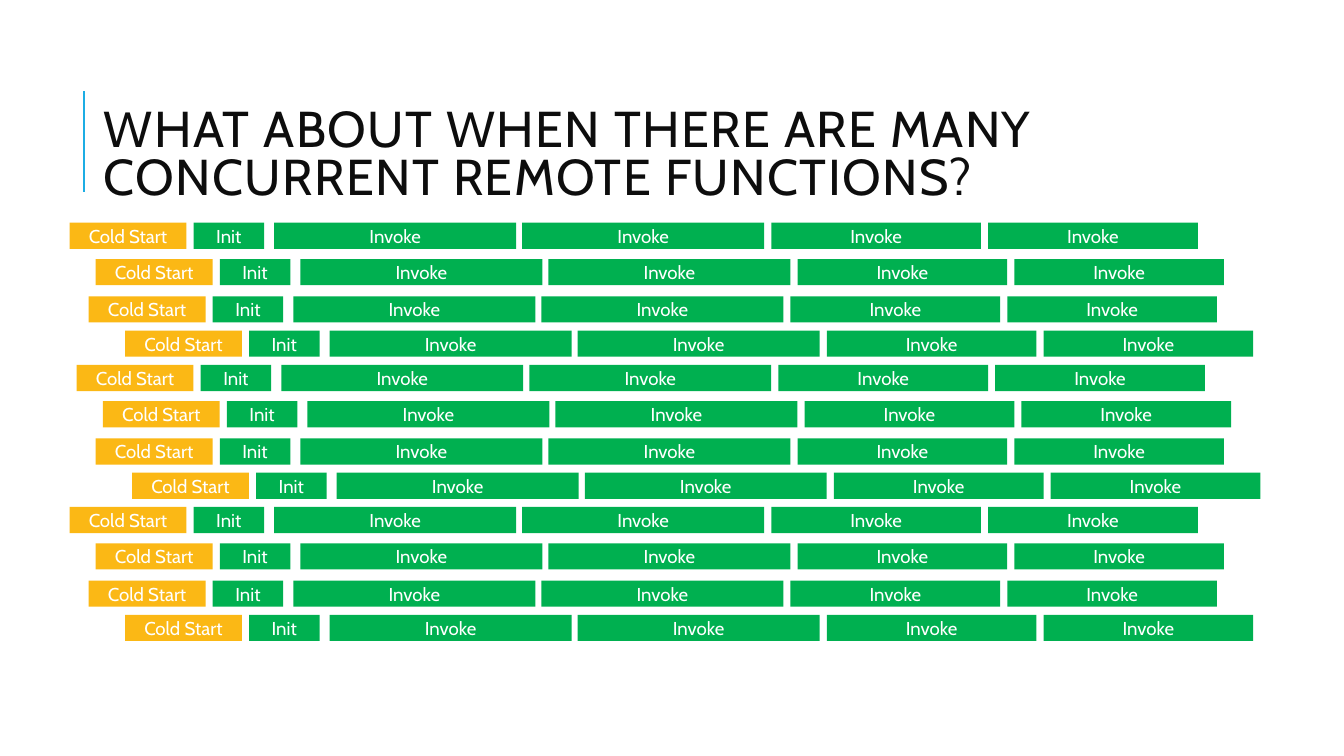
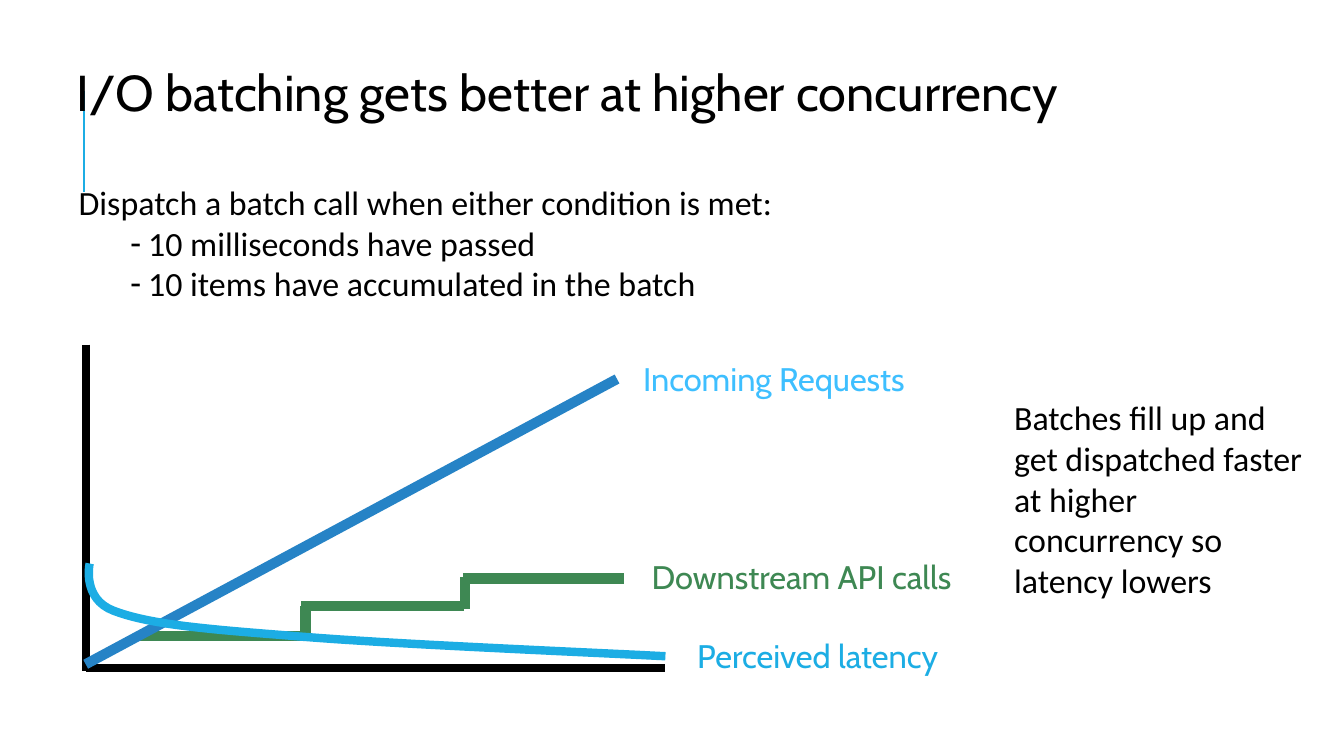
from lxml.etree import SubElement
from pptx import Presentation
from pptx.dml.color import RGBColor
from pptx.enum.shapes import MSO_CONNECTOR, MSO_SHAPE
from pptx.enum.text import MSO_ANCHOR, MSO_AUTO_SIZE, PP_ALIGN
from pptx.oxml.ns import qn
from pptx.util import Inches, Pt

HEAD, BODY = "Cabin", "Calibri"
BLACK, WHITE, INK = "000000", "FFFFFF", "0D0D0D"
AMBER, GREEN, MOSS = "FBB815", "00B050", "3E8853"
CYAN, SKY, BLUE = "1CADE4", "3EBFFF", "2683C6"
TITLE_ONLY, TITLE_AND_BODY = 5, 1


def rgb(value):
    return RGBColor.from_string(value)


def write(p, text, size=24.2, font=BODY, color=BLACK, align=PP_ALIGN.LEFT,
          spacing=None, tracking=None):
    """Fill a paragraph with one formatted run."""
    p.alignment = align
    p.space_before = Pt(0)
    if spacing:
        p.line_spacing = spacing
    r = p.add_run()
    r.text = text
    r.font.size, r.font.name = Pt(size), font
    r.font.color.rgb = rgb(color)
    if tracking:
        r._r.get_or_add_rPr().set("spc", str(tracking * 100))


def set_bullet(p, char=None, left=0, hang=0):
    pPr = p._p.get_or_add_pPr()
    pPr.set("marL", str(Inches(left + hang)))
    pPr.set("indent", str(-Inches(hang)))
    if char:
        SubElement(pPr, qn("a:buChar")).set("char", char)
    else:
        SubElement(pPr, qn("a:buNone"))


def bezier(p0, p1, p2, p3, steps=16):
    """Points after p0 along a cubic curve."""
    for i in range(1, steps + 1):
        t = i / steps
        u = 1 - t
        yield tuple(u**3 * a + 3 * u * u * t * b + 3 * u * t * t * c + t**3 * d
                    for a, b, c, d in zip(p0, p1, p2, p3))


class Deck:
    def __init__(self):
        self.prs = Presentation()
        self.prs.slide_width, self.prs.slide_height = Inches(13.33), Inches(7.5)
        self.s = None

    def new_slide(self, layout):
        self.s = self.prs.slides.add_slide(self.prs.slide_layouts[layout])

    def accent_on_master(self):
        """Move the title's vertical rule to the master, shared by all slides."""
        rule = self.line((0.83, 1.9), (0.83, 0.9), CYAN, 1.5)
        self.prs.slide_master.shapes._spTree.append(rule._element)

    def place(self, sp, box, anchor=MSO_ANCHOR.TOP):
        sp.left, sp.top, sp.width, sp.height = map(Inches, box)
        tf = sp.text_frame
        tf.word_wrap = True
        tf.auto_size = MSO_AUTO_SIZE.NONE
        tf.vertical_anchor = anchor
        return tf

    def title(self, text, box, anchor=MSO_ANCHOR.TOP, inset=0.1, **fmt):
        tf = self.place(self.s.shapes.title, box, anchor)
        tf.margin_left = tf.margin_right = Inches(inset)
        tf.margin_top = tf.margin_bottom = Inches(inset / 2)
        write(tf.paragraphs[0], text, size=36, font=HEAD, **fmt)

    def body(self, lead, items, box):
        tf = self.place(self.s.placeholders[1], box)
        set_bullet(tf.paragraphs[0])
        write(tf.paragraphs[0], lead)
        for item in items:
            p = tf.add_paragraph()
            set_bullet(p, "-", left=0.51, hang=0.18)
            write(p, item)

    def text(self, text, box, **fmt):
        sp = self.s.shapes.add_textbox(0, 0, 0, 0)
        write(self.place(sp, box).paragraphs[0], text, **fmt)

    def bar(self, text, box, fill):
        sp = self.s.shapes.add_shape(MSO_SHAPE.RECTANGLE, 0, 0, 0, 0)
        sp.shadow.inherit = False
        sp.fill.solid()
        sp.fill.fore_color.rgb = rgb(fill)
        sp.line.fill.background()
        tf = self.place(sp, box, MSO_ANCHOR.MIDDLE)
        tf.margin_top = tf.margin_bottom = 0
        write(tf.paragraphs[0], text, size=13.3, font=HEAD, color=WHITE,
              align=PP_ALIGN.CENTER)

    def line(self, start, end, color, width):
        sp = self.s.shapes.add_connector(
            MSO_CONNECTOR.STRAIGHT, *map(Inches, start + end))
        sp.line.color.rgb = rgb(color)
        sp.line.width = Pt(width)
        SubElement(sp._element.spPr, qn("a:effectLst"))
        return sp

    def curve(self, points, color, width):
        pts = [tuple(map(Inches, point)) for point in points]
        builder = self.s.shapes.build_freeform(*pts[0])
        builder.add_line_segments(pts[1:], close=False)
        sp = builder.convert_to_shape()
        sp.shadow.inherit = False
        sp.fill.background()
        sp.line.color.rgb = rgb(color)
        sp.line.width = Pt(width)


def concurrency_slide(deck):
    deck.new_slide(TITLE_ONLY)
    deck.accent_on_master()
    deck.title("WHAT ABOUT WHEN THERE ARE MANY CONCURRENT REMOTE FUNCTIONS?",
               (0.93, 0.57, 11.48, 1.97), MSO_ANCHOR.MIDDLE,
               color=INK, spacing=0.8, tracking=1)

    # Each timeline: label, offset from its start, width, fill
    phases = [("Cold Start", 0, 1.16, AMBER), ("Init", 1.23, 0.7, GREEN),
              ("Invoke", 2.03, 2.4, GREEN), ("Invoke", 4.49, 2.4, GREEN),
              ("Invoke", 6.96, 2.08, GREEN), ("Invoke", 9.11, 2.08, GREEN)]
    # Three groups of four timelines, the middle group shifted right
    starts = [(0.69, 0), (0.95, 0.36), (0.88, 0.73), (1.24, 1.07)]
    for group, shift in enumerate((0, 0.07, 0)):
        for left, drop in starts:
            for label, offset, width, fill in phases:
                deck.bar(label, (left + shift + offset,
                                 2.21 + 1.41 * group + drop, width, 0.26), fill)


def batching_slide(deck):
    deck.new_slide(TITLE_AND_BODY)
    deck.title("I/O batching gets better at higher concurrency",
               (0.68, 0.57, 11.48, 0.8), inset=0.08)
    deck.body("Dispatch a batch call when either condition is met:",
              ["10 milliseconds have passed",
               "10 items have accumulated in the batch"],
              (0.68, 1.75, 11.22, 1.32))

    # Axes
    deck.line((0.85, 3.42), (0.85, 6.66), BLACK, 5.5)
    deck.line((0.85, 6.63), (6.6, 6.63), BLACK, 5.5)

    # Stepped API calls, crossed by the request line
    thick = 7.25
    deck.line((1.37, 6.31), (3.03, 6.31), MOSS, thick)
    deck.line((0.85, 6.59), (6.12, 3.76), BLUE, thick)
    for start, end in [((3.03, 6.34), (3.03, 6.01)), ((2.99, 6.01), (4.6, 6.01)),
                       ((4.59, 5.74), (6.19, 5.74)), ((4.61, 6.04), (4.61, 5.72))]:
        deck.line(start, end, MOSS, thick)

    # Latency curve: three cubic pieces, end to end
    knots = [(6.6, 6.51), (5.16, 6.44), (3.71, 6.38), (2.8, 6.3), (1.89, 6.23),
             (1.45, 6.18), (1.13, 6.06), (0.81, 5.94), (0.89, 5.59), (0.89, 5.59)]
    points = knots[:1]
    for i in range(0, 9, 3):
        points.extend(bezier(*knots[i:i + 4]))
    deck.curve(points, CYAN, 6)

    # Series labels and remark
    for label, box, color in [
            ("Incoming Requests", (6.12, 3.51, 3.11, 0.49), SKY),
            ("Downstream API calls", (6.15, 5.48, 3.6, 0.49), MOSS),
            ("Perceived latency", (6.31, 6.26, 3.6, 0.49), CYAN)]:
        deck.text(label, box, size=23.3, font=HEAD, color=color,
                  align=PP_ALIGN.CENTER)
    deck.text("Batches fill up and get dispatched faster at higher concurrency "
              "so latency lowers", (9.96, 3.89, 3.13, 2.13))


def main():
    deck = Deck()
    concurrency_slide(deck)
    batching_slide(deck)
    deck.prs.save("out.pptx")


if __name__ == "__main__":
    main()
